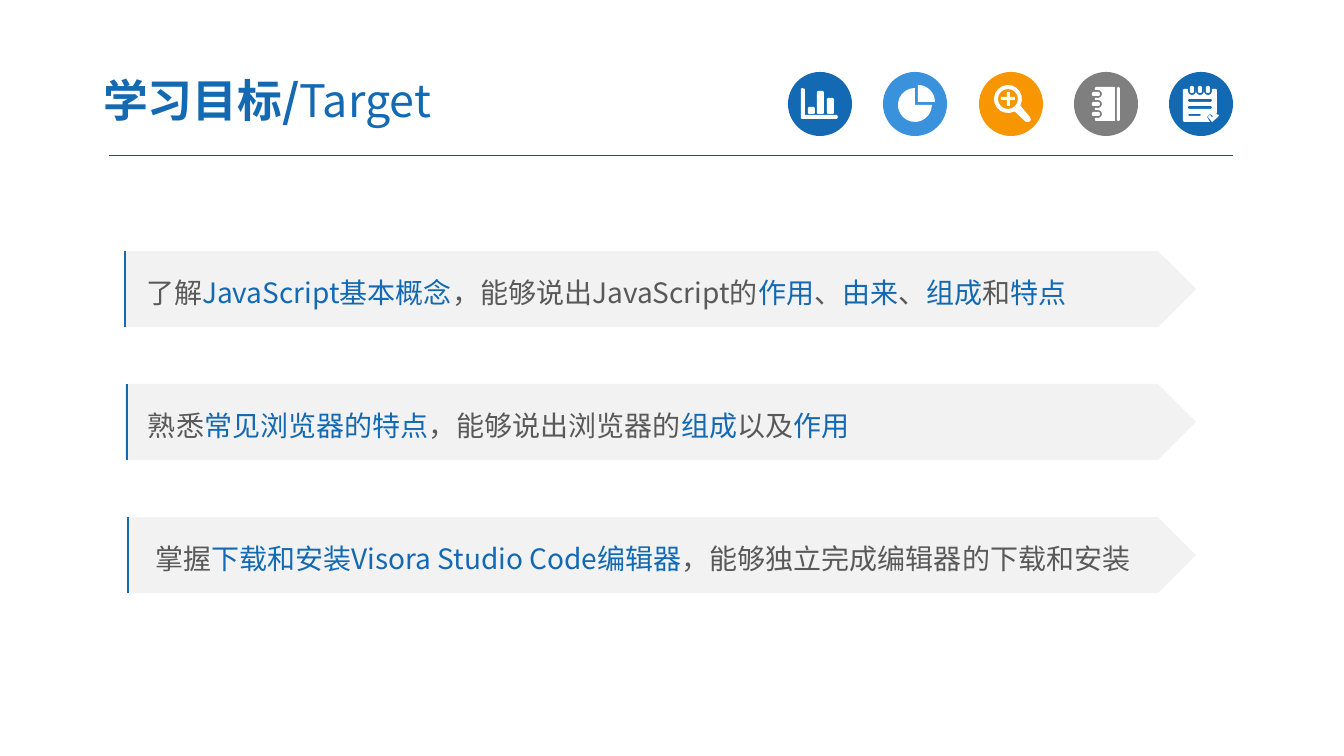
from dataclasses import dataclass
from math import cos, radians, sin
from lxml.etree import SubElement
from pptx import Presentation
from pptx.dml.color import RGBColor
from pptx.enum.shapes import MSO_CONNECTOR, MSO_SHAPE
from pptx.enum.text import MSO_ANCHOR, MSO_AUTO_SIZE, PP_ALIGN
from pptx.oxml.ns import qn
from pptx.util import Pt

SCALE = 12192000 / 1344


@dataclass(frozen=True)
class Theme:
    blue: str = "1369B2"
    sky: str = "3992DB"
    orange: str = "F79600"
    gray: str = "7F7F7F"
    white: str = "FFFFFF"
    pale: str = "F2F2F2"
    ink: str = "595959"
    rule: str = "005B9E"
    font: str = "Noto Sans CJK SC"
    title: int = 32
    body: int = 20


THEME = Theme()
GOALS = [
    (124, 125, 22, ["了解", "JavaScript基本概念", "，能够说出JavaScript的", "作用", "、",
                    "由来", "、", "组成", "和", "特点"]),
    (125, 127, 23, ["熟悉", "常见浏览器的特点", "，能够说出浏览器的", "组成", "以及", "作用"]),
    (127, 128, 28, ["掌握", "下载和安装Visora Studio Code编辑器", "，能够独立完成编辑器的下载和安装"]),
]


def px(n):
    return round(n * SCALE)


def rgb(color):
    return RGBColor.from_string(color)


def style(run, size, color, bold=False):
    font = run.font
    font.size = Pt(size)
    font.bold = bold
    font.color.rgb = rgb(color)
    font.name = THEME.font
    SubElement(run._r.get_or_add_rPr(), qn("a:ea"), typeface=THEME.font)


def write(para, parts):
    para.alignment = PP_ALIGN.LEFT
    for text, size, color, bold in parts:
        run = para.add_run()
        run.text = text
        style(run, size, color, bold)


def paint(item, color):
    item.shadow.inherit = False
    item.fill.solid()
    item.fill.fore_color.rgb = rgb(color)
    item.line.fill.background()


def shape(slide, kind, box, color):
    item = slide.shapes.add_shape(kind, *map(px, box))
    paint(item, color)
    return item


def line(slide, start, end, color, width):
    item = slide.shapes.add_connector(MSO_CONNECTOR.STRAIGHT, *map(px, start + end))
    item.line.color.rgb = rgb(color)
    item.line.width = Pt(width)
    SubElement(item._element.spPr, qn("a:effectLst"))


def head(slide):
    title = slide.shapes.title
    title.left, title.top, title.width, title.height = map(px, (90, 63, 526, 73))
    frame = title.text_frame
    frame.auto_size = MSO_AUTO_SIZE.NONE
    frame.word_wrap = True
    frame.vertical_anchor = MSO_ANCHOR.MIDDLE
    frame.margin_left = frame.margin_right = px(13)
    frame.margin_top = frame.margin_bottom = px(7)
    write(frame.paragraphs[0], [("学习目标/", THEME.title, THEME.blue, True),
                                ("Target", THEME.title, THEME.blue, False)])


def goal(slide, top, left, edge, inset, texts):
    item = shape(slide, MSO_SHAPE.PENTAGON, (left, top, 1196 - left, 76), THEME.pale)
    frame = item.text_frame
    frame.word_wrap = True
    frame.vertical_anchor = MSO_ANCHOR.MIDDLE
    frame.margin_left = px(inset)
    para = frame.paragraphs[0]
    para.line_spacing = 1.2
    colors = (THEME.ink, THEME.blue)
    write(para, [(text, THEME.body, colors[i % 2], False) for i, text in enumerate(texts)])
    line(slide, (edge, top), (edge, top + 76), THEME.blue, 1.5)


def arc(x, y, size, start, end, steps=16):
    turns = [radians(start + (end - start) * i / steps) for i in range(steps + 1)]
    return [(x + size * cos(t), y + size * sin(t)) for t in turns]


def bar(x, y, wide, high, cut=1):
    right, low = x + wide, y + high
    return [(x + cut, y), (right - cut, y), (right, y + cut), (right, low - cut),
            (right - cut, low), (x + cut, low), (x, low - cut), (x, y + cut)]


def chart():
    axis = [(14, 16), (17, 17), (17, 43), (49, 43), (50, 45), (49, 47), (14, 47), (13, 46), (13, 17)]
    return [axis, bar(20, 35, 7, 7), bar(29, 19, 7, 23), bar(39, 26, 7, 16)]


def pie():
    return [arc(32, 33, 17, 0, 270) + [(32, 33)], arc(35, 30, 17, 270, 360) + [(35, 30)]]


def lens():
    rim = arc(29, 27, 14, 62, 388) + [(51, 45), (52, 48), (50, 50), (47, 50)]
    plus = [(28, 20), (31, 20), (31, 25), (36, 25), (36, 28), (31, 28),
            (31, 34), (28, 34), (28, 28), (22, 28), (22, 25), (28, 25)]
    return [rim, arc(29, 27, 10, 0, 360), plus]


def book():
    rows = (42, 32, 22)
    page = [(41, 15), (41, 49), (22, 49), (21, 48)]
    for y in rows:
        page += [(21, y + 4)] + arc(24, y, 4, 90, -90, 8) + [(21, y - 4)]
    page += [(21, 16), (22, 15)]
    return [page, bar(43, 15, 3, 34)] + [bar(18, y - 2, 8, 4) for y in rows]


def note():
    pins = (23, 31, 39)
    pad = [(14, 18), (15, 17)]
    for x in pins:
        pad += [(x - 4, 17)] + arc(x, 19, 4, 180, 0, 8) + [(x + 4, 17)]
    pad += [(47, 17), (48, 18), (48, 41), (44, 44), (41, 42), (38, 45), (41, 50), (15, 50), (14, 49)]
    rows = [bar(19, 27, 24, 3), bar(19, 34, 24, 3), bar(19, 42, 13, 2)]
    tick = [(39, 45), (41, 43), (43, 45), (47, 42), (50, 43), (49, 45), (43, 50)]
    return [pad, tick] + rows + [bar(x - 2, 14, 4, 7) for x in pins]


def badge(slide, left, color, loops):
    shape(slide, MSO_SHAPE.OVAL, (left, 72, 64, 64), color)
    pen = None
    for loop in loops:
        dots = [(px(left + x), px(72 + y)) for x, y in loop]
        if pen:
            pen.move_to(*dots[0])
        else:
            pen = slide.shapes.build_freeform(*dots[0])
        pen.add_line_segments(dots[1:], close=True)
    paint(pen.convert_to_shape(), THEME.white)


def main():
    deck = Presentation()
    deck.slide_width, deck.slide_height = px(1344), px(756)
    slide = deck.slides.add_slide(deck.slide_layouts[5])
    head(slide)
    line(slide, (109, 156), (1233, 156), THEME.rule, 0.75)
    icons = [(THEME.blue, chart), (THEME.sky, pie), (THEME.orange, lens),
             (THEME.gray, book), (THEME.blue, note)]
    for i, (color, draw) in enumerate(icons):
        badge(slide, 788 + round(95.3 * i), color, draw())
    for i, (left, edge, inset, texts) in enumerate(GOALS):
        goal(slide, 251 + 133 * i, left, edge, inset, texts)
    deck.save("out.pptx")


if __name__ == "__main__":
    main()
